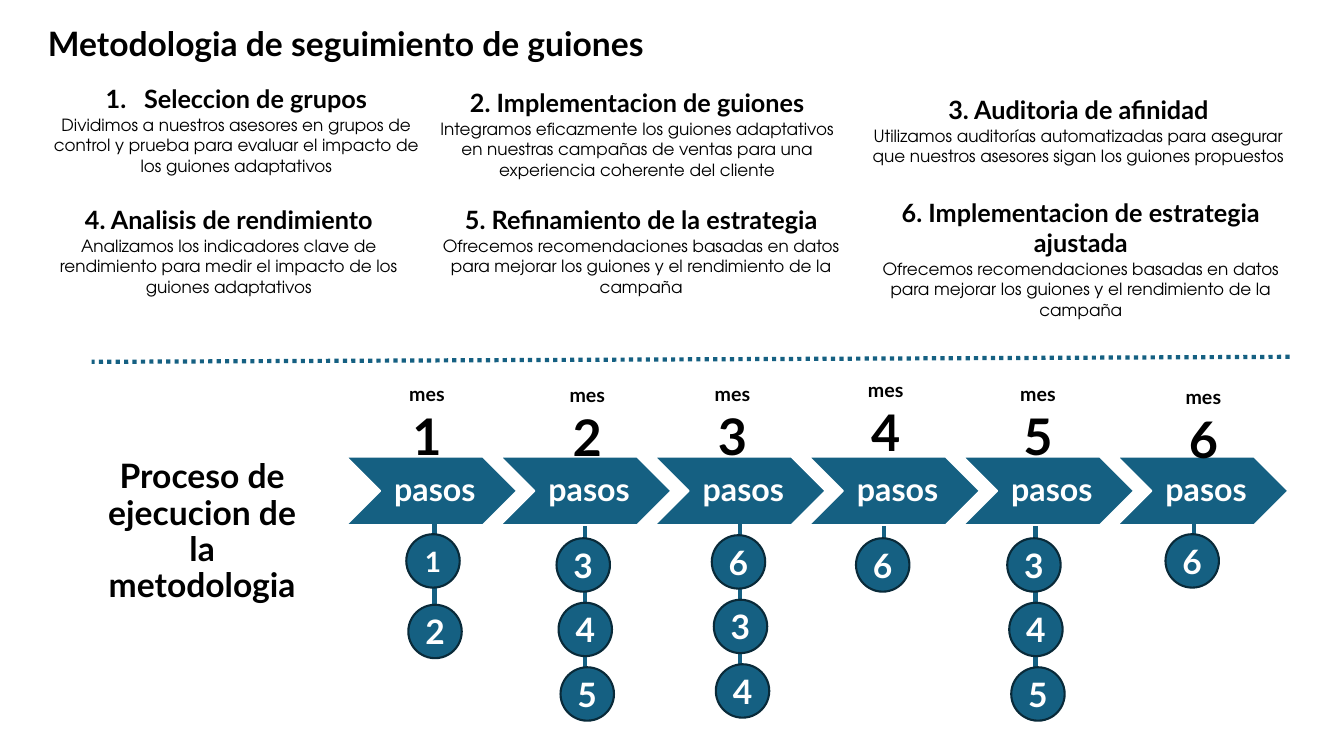
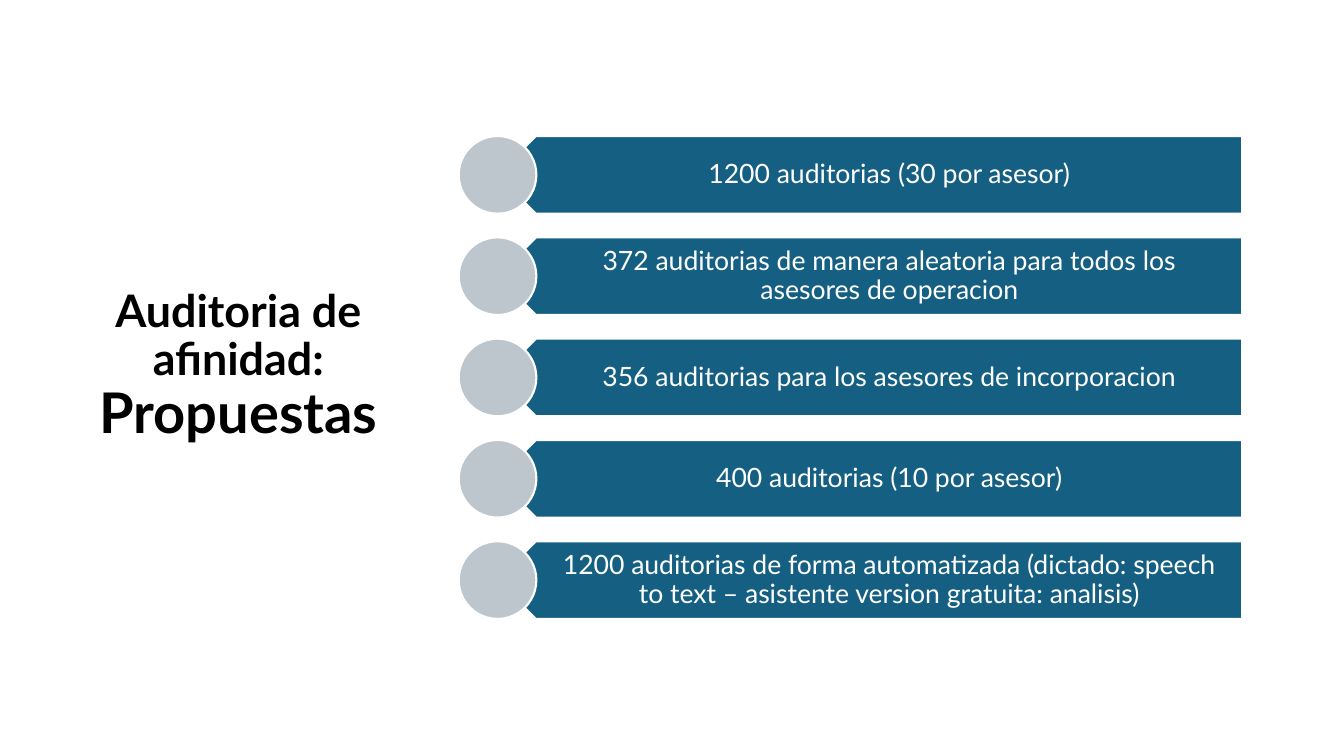
from lxml.etree import SubElement
from pptx import Presentation
from pptx.dml.color import RGBColor
from pptx.enum.dml import MSO_LINE
from pptx.enum.shapes import MSO_CONNECTOR, MSO_SHAPE
from pptx.enum.text import MSO_ANCHOR, PP_ALIGN
from pptx.oxml.ns import qn
from pptx.util import Inches, Pt

BLUE, NAVY, GRAY = "156082", "092A39", "BDC5CD"
BLACK, WHITE = "000000", "FFFFFF"
HEAD_FONT, BODY_FONT = "Lato", "TeX Gyre Adventor"
CIRCLE = 0.53

CARDS = [
    (0.43, 0.78, 3.83, "Seleccion de grupos",
     "Dividimos a nuestros asesores en grupos de control y prueba para evaluar el impacto de los guiones adaptativos"),
    (4.19, 0.82, 4.26, "2. Implementacion de guiones",
     "Integramos eficazmente los guiones adaptativos en nuestras campañas de ventas para una experiencia coherente del cliente"),
    (8.4, 0.89, 4.59, "3. Auditoria de afinidad",
     "Utilizamos auditorías automatizadas para asegurar que nuestros asesores sigan los guiones propuestos"),
    (0.45, 1.98, 3.64, "4. Analisis de rendimiento",
     "Analizamos los indicadores clave de rendimiento para medir el impacto de los guiones adaptativos"),
    (4.28, 1.98, 4.16, "5. Refinamiento de la estrategia",
     "Ofrecemos recomendaciones basadas en datos para mejorar los guiones y el rendimiento de la campaña"),
    (8.57, 1.91, 4.3, "6. Implementacion de estrategia ajustada",
     "Ofrecemos recomendaciones basadas en datos para mejorar los guiones y el rendimiento de la campaña"),
]

MONTHS = [
    (3.94, 3.74, 4.03, 5.3, 0.7, "12"),
    (5.53, 3.75, 5.52, 5.34, 0.64, "345"),
    (6.97, 3.74, 7.06, 5.31, 0.64, "634"),
    (8.49, 3.7, 8.49, 5.34, 0.64, "6"),
    (10, 3.74, 9.99, 5.34, 0.64, "345"),
    (11.64, 3.77, 11.56, 5.3, 0.64, "6"),
]

PROPOSALS = [
    "1200 auditorias (30 por asesor)",
    "372 auditorias de manera aleatoria para todos los asesores de operacion",
    "356 auditorias para los asesores de incorporacion",
    "400 auditorias (10 por asesor)",
    "1200 auditorias de forma automatizada (dictado: speech to text – asistente version gratuita: analisis)",
]


def rgb(value):
    return RGBColor.from_string(value)


def apply(target, values):
    for name, value in values.items():
        setattr(target, name, value)


def insets(left, top, right, bottom):
    names = ("margin_left", "margin_top", "margin_right", "margin_bottom")
    return dict(zip(names, map(Inches, (left, top, right, bottom))))


def write(sp, lines, spacing=1.0, color=BLACK, anchor=MSO_ANCHOR.TOP, margins=None):
    tf = sp.text_frame
    apply(tf, {"word_wrap": True, "vertical_anchor": anchor, **(margins or {})})
    for i, (text, size, font) in enumerate(lines):
        p = tf.add_paragraph() if i else tf.paragraphs[0]
        apply(p, {"alignment": PP_ALIGN.CENTER, "line_spacing": spacing})
        r = p.add_run()
        r.text = text
        apply(r.font, {"size": Pt(size), "bold": True, "name": HEAD_FONT, **font})
        r.font.color.rgb = rgb(color)
    return tf


def add_text(s, box, lines, **style):
    return write(s.shapes.add_textbox(*map(Inches, box)), lines, **style)


def add_title(s, box, lines):
    add_text(s, box, [(text, size, {}) for text, size in lines],
             spacing=0.9, anchor=MSO_ANCHOR.BOTTOM)


def add_figure(s, kind, box, fill=BLUE, line=WHITE):
    sp = s.shapes.add_shape(kind, *map(Inches, box))
    sp.shadow.inherit = False
    sp.fill.solid()
    sp.fill.fore_color.rgb = rgb(fill)
    sp.line.color.rgb = rgb(line)
    sp.line.width = Pt(1.5)
    return sp


def add_line(s, *ends, dash=None):
    line = s.shapes.add_connector(MSO_CONNECTOR.STRAIGHT, *map(Inches, ends))
    line.line.color.rgb = rgb(BLUE)
    apply(line.line, {"width": Pt(3), "dash_style": dash})
    SubElement(line._element.spPr, qn("a:effectLst"))


def number_paragraph(p):
    pPr = p._p.get_or_add_pPr()
    pPr.set("marL", str(Inches(0.38)))
    pPr.set("indent", str(-Inches(0.38)))
    SubElement(pPr, qn("a:buFont"), typeface="+mj-lt")
    SubElement(pPr, qn("a:buAutoNum"), type="arabicPeriod")


def add_card(s, left, top, width, heading, body):
    tf = add_text(s, (left, top, width, 1.33), [
        (heading, 18, {}),
        (body, 12, {"bold": False, "name": BODY_FONT}),
    ])
    tf.paragraphs[1].line_spacing = Pt(14.8)
    return tf


def add_chevron(s, left):
    sp = add_figure(s, MSO_SHAPE.CHEVRON, (left, 4.53, 1.7, 0.68))
    write(sp, [("pasos", 23, {})], spacing=0.9, color=WHITE,
          anchor=MSO_ANCHOR.MIDDLE, margins=insets(0.1, 0.03, 0.03, 0.03))


def add_month(s, number, label_left, label_top, left, top, pitch, steps):
    add_text(s, (label_left, label_top, 0.59, 0.94),
             [("mes", 14, {}), (str(number), 36, {})],
             margins=insets(0, 0.05, 0, 0.05))
    center = left + 0.28
    add_line(s, center, top - 0.12, center, top + pitch * (len(steps) - 1) + CIRCLE / 2)
    for i, step in enumerate(steps):
        box = (left + 0.02 * i, top + pitch * i, CIRCLE, CIRCLE)
        sp = add_figure(s, MSO_SHAPE.OVAL, box, line=NAVY)
        write(sp, [(step, 20 if step == "1" else 24, {})], color=WHITE,
              anchor=MSO_ANCHOR.MIDDLE, margins=insets(0, 0, 0, 0))


def add_proposal(s, top, text):
    bar = add_figure(s, MSO_SHAPE.PENTAGON, (4.93, top, 7.39, 0.77))
    bar.rotation = 180
    add_text(s, (5.13, top, 7.19, 0.77), [(text, 19, {"bold": False})],
             spacing=0.9, color=WHITE, anchor=MSO_ANCHOR.MIDDLE,
             margins=insets(0.34, 0.08, 0.15, 0.08))
    add_figure(s, MSO_SHAPE.OVAL, (4.55, top, 0.77, 0.77), fill=GRAY)


def build_methodology(s):
    add_title(s, (-1.47, 0.22, 9.8, 0.46), [("Metodologia de seguimiento de guiones", 24)])
    cards = [add_card(s, *card) for card in CARDS]
    number_paragraph(cards[0].paragraphs[0])
    add_line(s, 12.79, 3.54, 0.91, 3.59, dash=MSO_LINE.ROUND_DOT)
    add_title(s, (0.92, 4.45, 2.17, 1.6), [("Proceso de ejecucion de la metodologia", 24)])
    for i in range(len(MONTHS)):
        add_chevron(s, 3.43 + 1.53 * i)
    for number, month in enumerate(MONTHS, 1):
        add_month(s, number, *month)


def build_proposals(s):
    add_title(s, (0.78, 2.67, 3.17, 1.8), [("Auditoria de afinidad:", 32), ("Propuestas", 40)])
    pitch = 4.02 / (len(PROPOSALS) - 1)
    for i, text in enumerate(PROPOSALS):
        add_proposal(s, 1.35 + pitch * i, text)


def main():
    prs = Presentation()
    apply(prs, {"slide_width": Inches(13.33), "slide_height": Inches(7.5)})
    for build in (build_methodology, build_proposals):
        build(prs.slides.add_slide(prs.slide_layouts[6]))
    prs.save("out.pptx")


if __name__ == "__main__":
    main()
